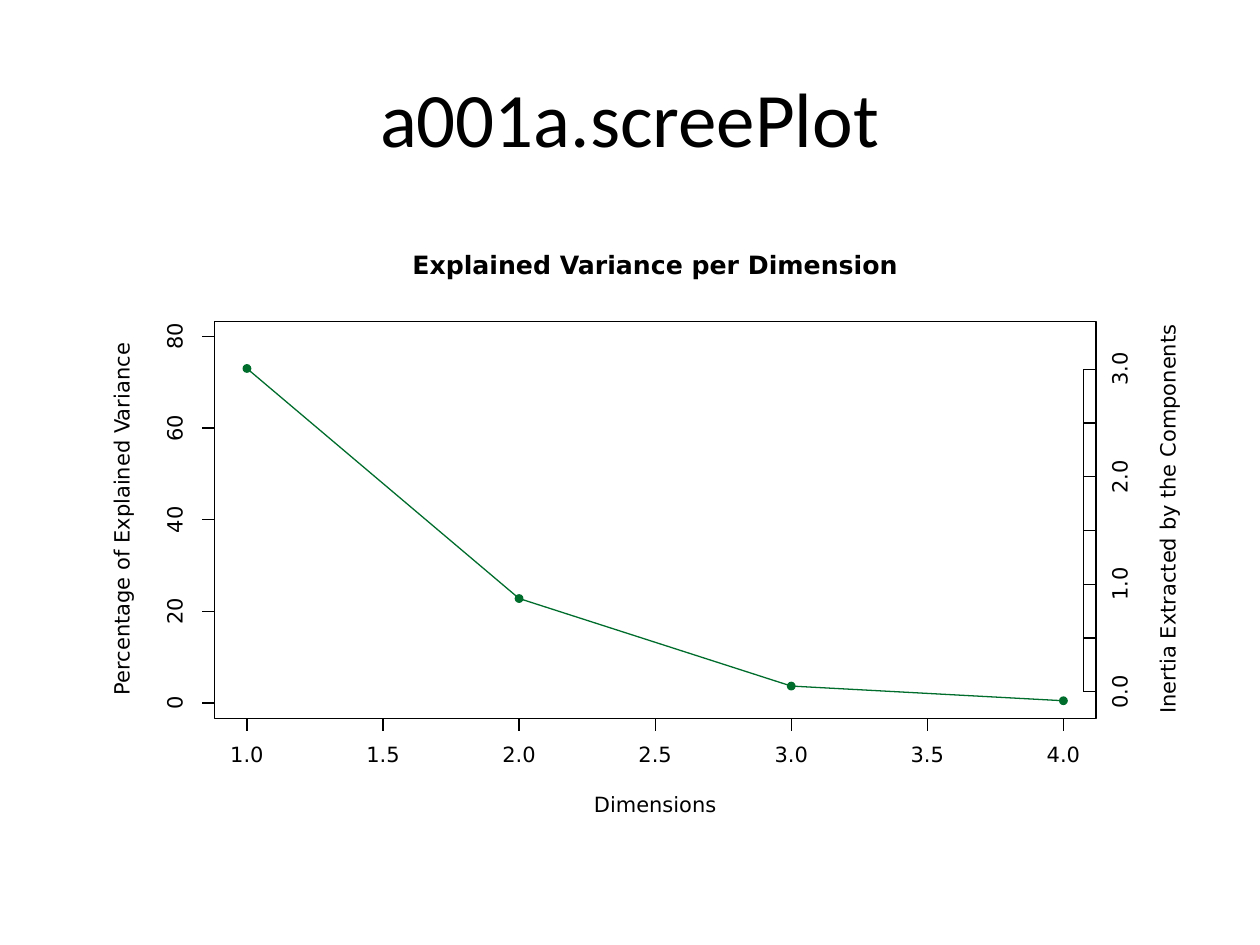
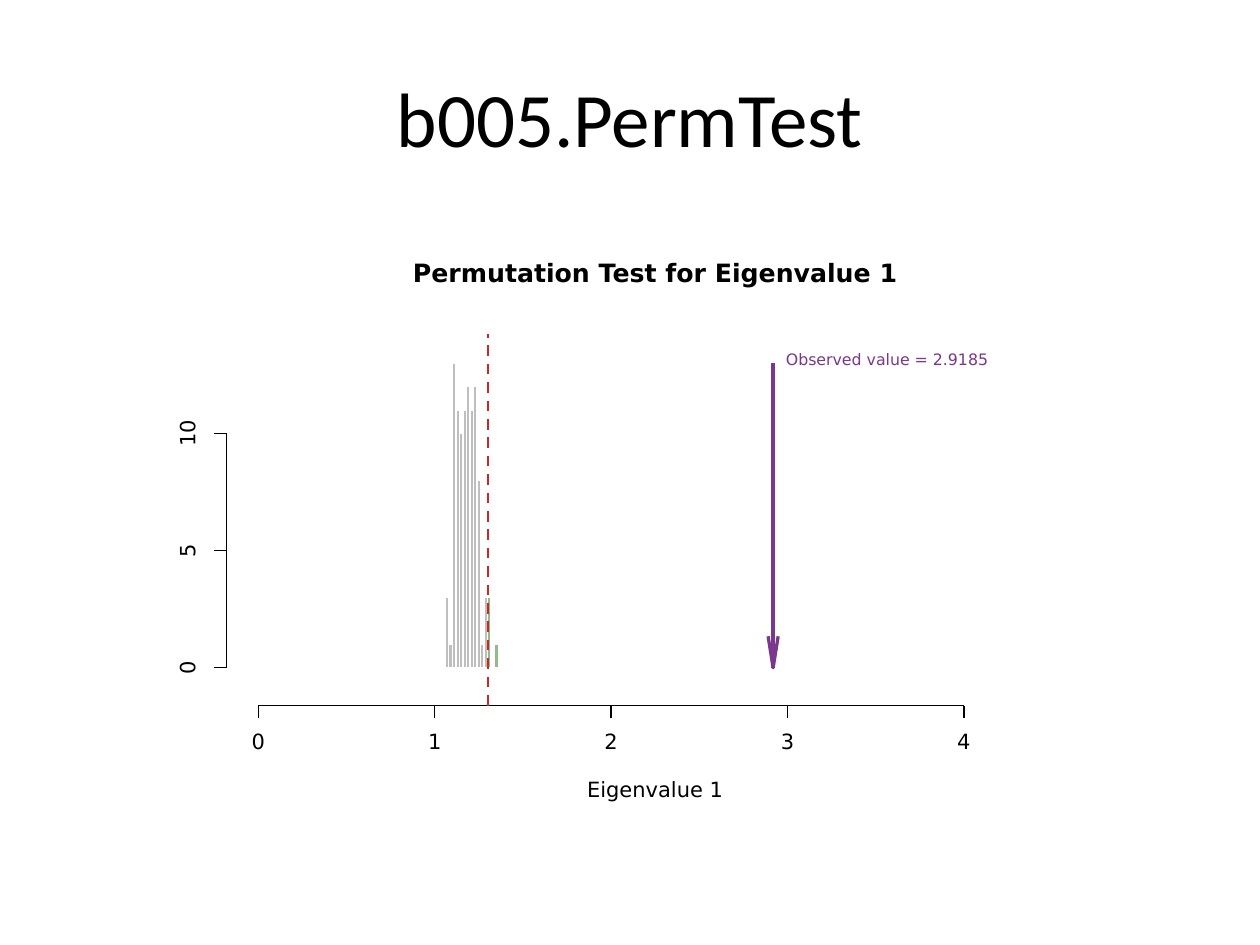
from pptx import Presentation
from pptx import util as u
from pptx.dml.color import RGBColor
from pptx.enum import dml, shapes, text
from pptx.oxml.ns import qn
from lxml import etree

THEME = {
    "ink": "000000", "paper": "FFFFFF", "curve": "006D2C", "bar": "BEBEBE",
    "tail": "8FBC8F", "observed": "7A378B", "limit": "CD2626",
    "title_font": "Calibri", "plot_font": "DejaVu Sans",
    "title": 44, "heading": 14.4, "label": 12, "note": 9,
    "thin": 0.75, "dashed": 1.5, "arrow": 1.87,
}
TICK = 0.1
SLACK = 0.06  # spare width that keeps a label on one line

# Axis: side, fixed coordinate, first tick, last tick, tick labels.
# Label: words, centre x, centre y, width, style.
SCREE = {
    "title": "a001a.screePlot",
    "axes": [
        ("bottom", 5.7, 1.96, 8.44, ["1.0", "1.5", "2.0", "2.5", "3.0", "3.5", "4.0"]),
        ("left", 1.7, 5.58, 2.67, ["0", "20", "40", "60", "80"]),
        ("right", 8.6, 5.49, 2.93, ["0.0", "", "1.0", "", "2.0", "", "3.0"]),
    ],
    "labels": [
        ("Explained Variance per Dimension", 5.2, 2.12, 3.87, "heading"),
        ("Dimensions", 5.2, 6.4, 0.97, "label"),
        ("Percentage of Explained Variance", 0.98, 4.12, 2.82, "upright"),
        ("Inertia Extracted by the Components", 9.28, 4.12, 3.09, "upright"),
    ],
    "frame": (1.7, 2.55, 7, 3.15),
    "percent": [73.0, 22.8, 3.7, 0.5],
}
PERM = {
    "title": "b005.PermTest",
    "axes": [
        ("bottom", 5.6, 2.05, 7.65, ["0", "1", "2", "3", "4"]),
        ("left", 1.8, 5.3, 3.44, ["0", "5", "10"]),
    ],
    "labels": [
        ("Permutation Test for Eigenvalue 1", 5.2, 2.18, 3.87, "heading"),
        ("Eigenvalue 1", 5.2, 6.28, 1.08, "label"),
        ("Observed value = 2.9185", 7.04, 2.86, 1.6, "note"),
    ],
    "counts": [3, 1, 13, 11, 10, 11, 12, 11, 12, 8, 1, 3, 3, 0, 1],
    "first_bin": 1.06, "bin": 0.02, "limit_bin": 12,
    "limit": 1.303, "observed": 2.9185,
}


def colour(name):
    """Return a theme colour."""
    return RGBColor.from_string(THEME[name])


def style_line(s, name, weight="thin"):
    """Give a shape or connector its line colour and width."""
    s.line.color.rgb = colour(name)
    s.line.width = u.Pt(THEME[weight])


def add_line(sl, x1, y1, x2, y2, name="ink", weight="thin"):
    """Draw a straight line without a shadow."""
    s = sl.shapes.add_connector(shapes.MSO_CONNECTOR.STRAIGHT,
                                *map(u.Inches, (x1, y1, x2, y2)))
    style_line(s, name, weight)
    etree.SubElement(s._element.spPr, qn("a:effectLst"))
    return s


def add_polyline(sl, points, name, weight="thin"):
    """Draw an open outline through the points."""
    points = [(u.Inches(x), u.Inches(y)) for x, y in points]
    fb = sl.shapes.build_freeform(*points[0])
    fb.add_line_segments(points[1:], close=False)
    s = fb.convert_to_shape()
    s.shadow.inherit = False
    s.fill.background()
    style_line(s, name, weight)


def add_block(sl, kind, box, fill=None, line=None):
    """Draw a preset shape with an optional fill and line."""
    s = sl.shapes.add_shape(kind, *map(u.Inches, box))
    s.shadow.inherit = False
    if fill:
        s.fill.solid()
        s.fill.fore_color.rgb = colour(fill)
    else:
        s.fill.background()
    if line:
        style_line(s, line)
    else:
        s.line.fill.background()


def add_text(sl, words, box, font, size, name="ink", bold=False):
    """Add a centred one-line text box and return it."""
    s = sl.shapes.add_textbox(*map(u.Inches, box))
    tf = s.text_frame
    tf.text = words
    tf.vertical_anchor = text.MSO_ANCHOR.MIDDLE
    p = tf.paragraphs[0]
    p.alignment = text.PP_ALIGN.CENTER
    r = p.runs[0]
    r.font.name, r.font.size, r.font.bold = THEME[font], u.Pt(THEME[size]), bold
    r.font.color.rgb = colour(name)
    return s


def add_label(sl, words, cx, cy, width, style="label"):
    """Centre a plot label on a point; an upright one reads from below."""
    size = "label" if style == "upright" else style
    width += SLACK
    height = 0.1 if style == "note" else 0.14
    s = add_text(sl, words, (cx - width / 2, cy - height / 2, width, height),
                 "plot_font", size, "observed" if style == "note" else "ink",
                 style == "heading")
    tf = s.text_frame
    tf.margin_left = tf.margin_right = tf.margin_top = tf.margin_bottom = 0
    tf.word_wrap = False
    tf.paragraphs[0].line_spacing = u.Pt(THEME[size])
    if style == "upright":
        s.rotation = 270


def add_axis(sl, side, at, start, end, labels):
    """Draw an axis line with evenly spaced ticks and labels on its outer side."""
    flat = side == "bottom"
    out = -TICK if side == "left" else TICK
    step = (end - start) / (len(labels) - 1)

    def place(along, across):
        """Turn axis coordinates into x and y."""
        return (along, across) if flat else (across, along)

    add_line(sl, *place(start, at), *place(end, at))
    for i, words in enumerate(labels):
        pos = start + step * i
        add_line(sl, *place(pos, at), *place(pos, at + out))
        if words:
            width = 0.11 * len(words) - 0.06 * words.count(".")
            add_label(sl, words, *place(pos, at + 3 * out), width,
                      "label" if flat else "upright")


def scale(axis):
    """Return the position of an axis's first tick and the length of one unit."""
    start, end, labels = axis[2:]
    return start, (end - start) / (float(labels[-1]) - float(labels[0]))


def start_slide(prs, content):
    """Add a slide with its title, plot panel, axes and labels."""
    sl = prs.slides.add_slide(prs.slide_layouts[6])
    s = add_text(sl, content["title"], (0.5, 0.3, 9, 1.25), "title_font", "title")
    s.text_frame.word_wrap = True
    add_block(sl, shapes.MSO_SHAPE.RECTANGLE, (0.5, 1.75, 9, 4.95), "paper", "paper")
    for axis in content["axes"]:
        add_axis(sl, *axis)
    for label in content["labels"]:
        add_label(sl, *label)
    return sl


def build_scree(prs):
    """Draw the explained variance curve."""
    sl = start_slide(prs, SCREE)
    x0, x_unit = scale(SCREE["axes"][0])
    y0, y_unit = scale(SCREE["axes"][1])
    points = [(x0 + x_unit * i, y0 + y_unit * v)
              for i, v in enumerate(SCREE["percent"])]
    add_block(sl, shapes.MSO_SHAPE.RECTANGLE, SCREE["frame"], line="ink")
    add_polyline(sl, points, "curve")
    dot = 0.07
    for x, y in points:
        add_block(sl, shapes.MSO_SHAPE.OVAL,
                  (x - dot / 2, y - dot / 2, dot, dot), "curve")


def build_perm(prs):
    """Draw the permutation histogram, its limit and the observed value."""
    sl = start_slide(prs, PERM)
    base = PERM["axes"][0][1]
    x0, x_unit = scale(PERM["axes"][0])
    y0, y_unit = scale(PERM["axes"][1])
    for i, n in enumerate(PERM["counts"]):
        if n:
            x = x0 + x_unit * (PERM["first_bin"] + PERM["bin"] * i)
            add_block(sl, shapes.MSO_SHAPE.RECTANGLE,
                      (x, y0 + n * y_unit, x_unit * PERM["bin"], -n * y_unit),
                      "tail" if i >= PERM["limit_bin"] else "bar", "paper")
    x = x0 + x_unit * PERM["observed"]
    top = y0 + max(PERM["counts"]) * y_unit
    add_line(sl, x, top, x, y0, "observed", "arrow")
    add_polyline(sl, [(x - 0.04, y0 - 0.25), (x, y0), (x + 0.04, y0 - 0.25)],
                 "observed", "arrow")
    x = x0 + x_unit * PERM["limit"]
    s = add_line(sl, x, base, x, 2.65, "limit", "dashed")
    s.line.dash_style = dml.MSO_LINE.DASH


prs = Presentation()
prs.slide_width, prs.slide_height = u.Inches(10), u.Inches(7.5)
build_scree(prs)
build_perm(prs)
prs.save("out.pptx")
